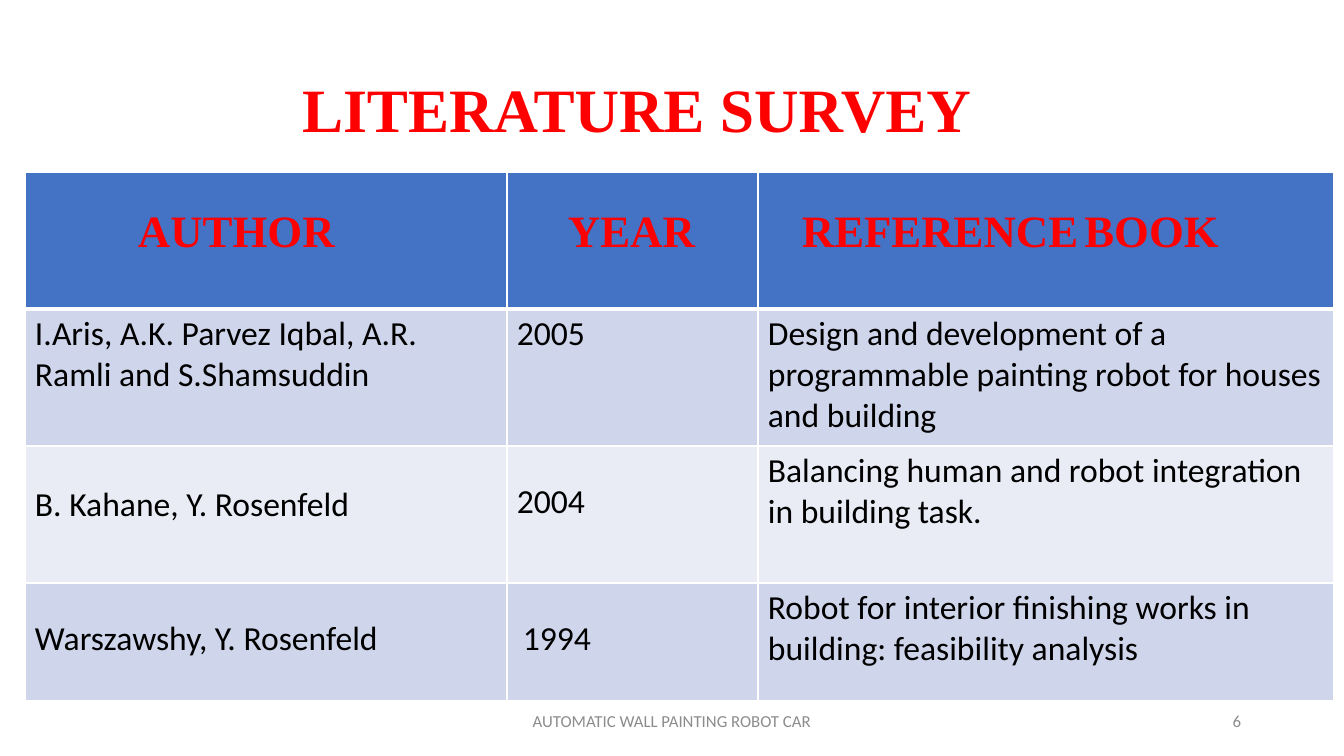
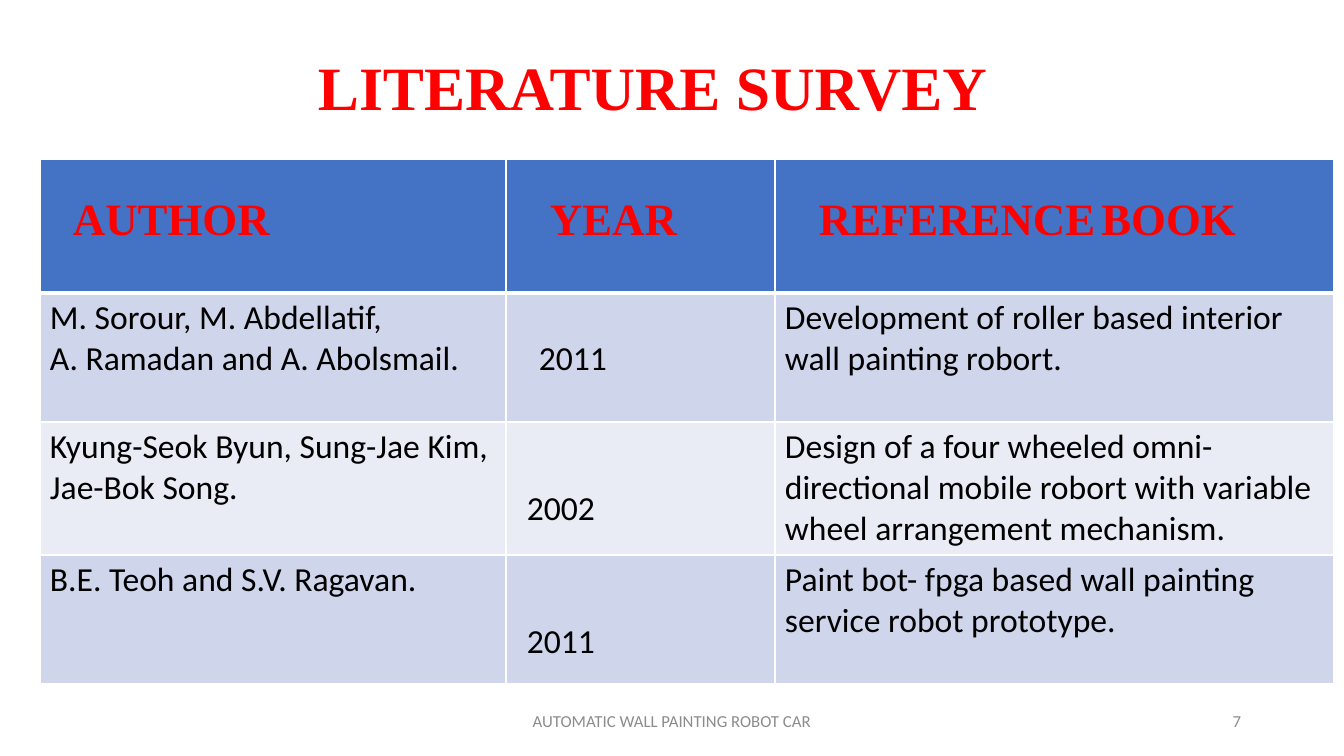
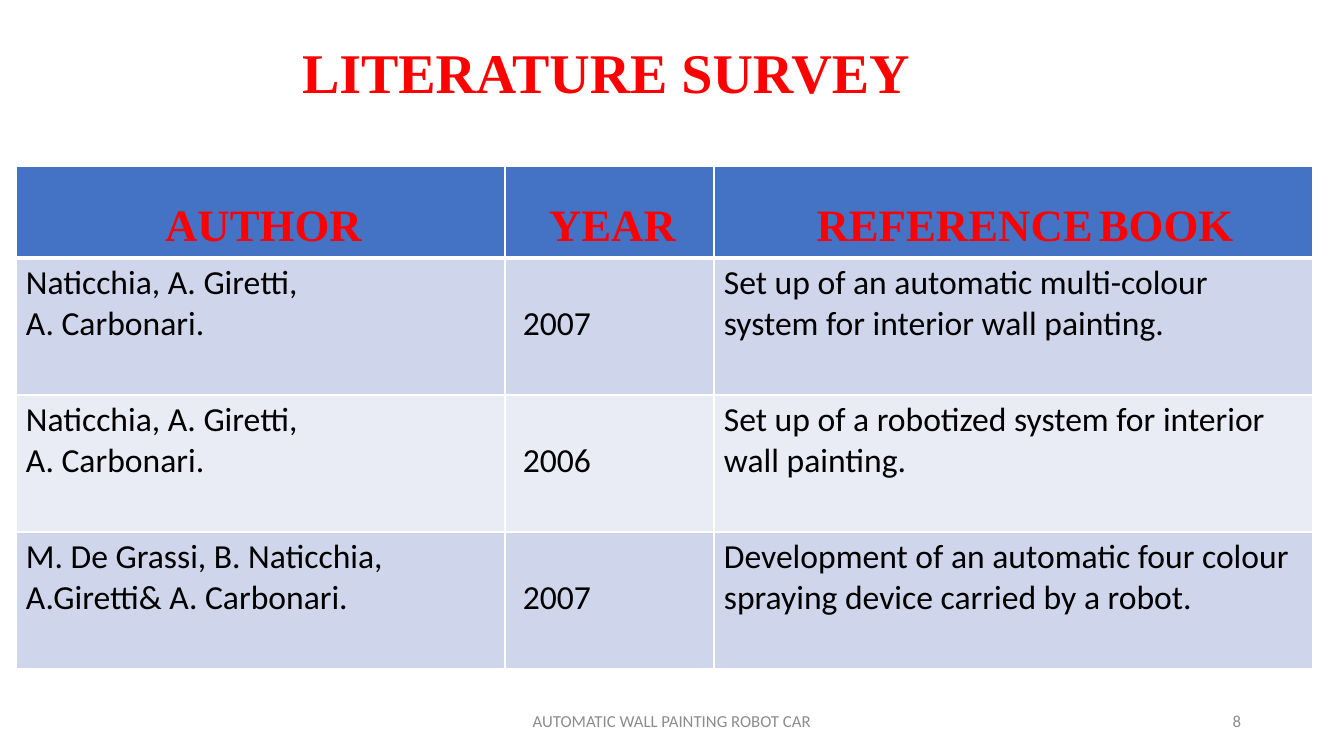
from dataclasses import dataclass

from lxml.etree import SubElement
from pptx import Presentation
from pptx.dml.color import RGBColor
from pptx.enum.text import MSO_ANCHOR, MSO_AUTO_SIZE, PP_ALIGN
from pptx.oxml.ns import qn
from pptx.util import Pt

EMU_PER_PX = 914400 / 100.8
RED = RGBColor(0xFF, 0x00, 0x00)
WHITE = RGBColor(0xFF, 0xFF, 0xFF)
BLACK = RGBColor(0x00, 0x00, 0x00)
GREY = RGBColor(0x8C, 0x8C, 0x8C)
HEADER_BLUE = RGBColor(0x44, 0x72, 0xC4)
BAND_FILLS = (RGBColor(0xCF, 0xD5, 0xEA), RGBColor(0xE9, 0xEB, 0xF5))
SERIF, SANS = "Times New Roman", "Calibri"
TITLE = "LITERATURE SURVEY"
HEADINGS = ("AUTHOR", "YEAR", "REFERENCE BOOK")
FOOTER = "AUTOMATIC WALL PAINTING ROBOT CAR"
FIRST_NUMBER = 6
INSET_X, INSET_Y = 10, 5
HEADER_DROP = 31


@dataclass
class Entry:
    """Cell text with its extra indent and drop in px."""

    text: str
    indent: int = 0
    drop: int = 0


@dataclass
class Survey:
    """Contents and measures of one survey slide."""

    title_box: tuple
    title_indent: int
    title_size: int
    table_corner: tuple
    columns: tuple
    rows: tuple
    heading_indents: tuple
    heading_align: PP_ALIGN
    entries: tuple


SURVEYS = (
    Survey(
        (92, 40, 1160, 146), 200, 44, (25, 172), (482, 251, 576),
        (137, 137, 137, 118), (103, 51, 34), PP_ALIGN.LEFT,
        (
            (Entry("I.Aris, A.K. Parvez Iqbal, A.R. Ramli and S.Shamsuddin"),
             Entry("2005"),
             Entry("Design and development of a programmable painting robot "
                   "for houses and building")),
            (Entry("B. Kahane, Y. Rosenfeld", drop=34),
             Entry("2004", drop=31),
             Entry("Balancing human and robot integration in building task.")),
            (Entry("Warszawshy, Y. Rosenfeld", drop=31),
             Entry("1994", 6, 31),
             Entry("Robot for interior finishing works in building: "
                   "feasibility analysis")),
        ),
    ),
    Survey(
        (92, 40, 1160, 101), 216, 44, (40, 159), (466, 269, 559),
        (134, 129, 133, 129), (23, 34, 34), PP_ALIGN.LEFT,
        (
            (Entry("M. Sorour, M. Abdellatif,\nA. Ramadan and A. Abolsmail."),
             Entry("2011", 23, 41),
             Entry("Development of roller based interior wall painting robort.")),
            (Entry("Kyung-Seok Byun, Sung-Jae Kim,\nJae-Bok Song."),
             Entry("2002", 11, 62),
             Entry("Design of a four wheeled omni-directional mobile robort "
                   "with variable wheel arrangement mechanism.")),
            (Entry("B.E. Teoh and S.V. Ragavan."),
             Entry("2011", 11, 62),
             Entry("Paint bot- fpga based wall painting service robot prototype.")),
        ),
    ),
    Survey(
        (92, 15, 1160, 121), 200, 40, (16, 166), (489, 209, 599),
        (92, 137, 137, 137), (6, 6, 23), PP_ALIGN.CENTER,
        (
            (Entry("Naticchia, A. Giretti,\nA. Carbonari."),
             Entry("2007", 8, 41),
             Entry("Set up of an automatic multi-colour system for interior "
                   "wall painting.")),
            (Entry("Naticchia, A. Giretti,\nA. Carbonari."),
             Entry("2006", 8, 41),
             Entry("Set up of a robotized system for interior wall painting.")),
            (Entry("M. De Grassi, B. Naticchia,\nA.Giretti& A. Carbonari."),
             Entry("2007", 8, 41),
             Entry("Development of an automatic four colour spraying device "
                   "carried by a robot.")),
        ),
    ),
)


def px(length):
    """Turn px into EMU."""
    return round(length * EMU_PER_PX)


def style(span, font, size, colour, bold=False):
    """Set the look of one run."""
    span.font.name = font
    span.font.size = Pt(size)
    span.font.color.rgb = colour
    span.font.bold = bold


def add_title(page, survey):
    """Place and format the title placeholder."""
    title = page.shapes.title
    title.left, title.top, title.width, title.height = map(px, survey.title_box)
    frame = title.text_frame
    frame.text = TITLE
    frame.auto_size = MSO_AUTO_SIZE.NONE
    frame.vertical_anchor = MSO_ANCHOR.MIDDLE
    frame.margin_left = px(INSET_X + survey.title_indent)
    para = frame.paragraphs[0]
    para.alignment = PP_ALIGN.LEFT
    para.line_spacing = 0.9
    style(para.runs[0], SERIF, survey.title_size, RED, True)


def set_borders(cell, top, bottom):
    """Draw white cell borders, with widths in points."""
    properties = cell._tc.get_or_add_tcPr()
    widths = {"a:lnL": 1, "a:lnR": 1, "a:lnT": top, "a:lnB": bottom}
    for place, (tag, width) in enumerate(widths.items()):
        line = SubElement(properties, qn(tag), w=str(Pt(width)))
        fill = SubElement(line, qn("a:solidFill"))
        SubElement(fill, qn("a:srgbClr"), val=str(WHITE))
        properties.insert(place, line)


def prepare_cell(cell, fill, indent, drop):
    """Set the fill and margins of a cell."""
    cell.fill.solid()
    cell.fill.fore_color.rgb = fill
    cell.margin_left = px(INSET_X + indent)
    cell.margin_right = px(INSET_X)
    cell.margin_top = px(INSET_Y + drop)
    cell.margin_bottom = 0
    cell.vertical_anchor = MSO_ANCHOR.TOP


def fill_heading(cell, text, indent, align):
    """Write a heading whose words are parted by a narrow space."""
    prepare_cell(cell, HEADER_BLUE, indent, HEADER_DROP)
    set_borders(cell, 1, 3)
    para = cell.text_frame.paragraphs[0]
    para.alignment = align
    for place, word in enumerate(text.split()):
        if place:
            gap = para.add_run()
            gap.text = " "
            style(gap, SANS, 18, WHITE, True)
        span = para.add_run()
        span.text = word
        style(span, SERIF, 32, RED, True)


def fill_entry(cell, entry, row):
    """Write one body cell."""
    prepare_cell(cell, BAND_FILLS[(row - 1) % 2], entry.indent, entry.drop)
    set_borders(cell, 3 if row == 1 else 1, 1)
    cell.text_frame.text = entry.text
    for para in cell.text_frame.paragraphs:
        style(para.runs[0], SANS, 24, BLACK)


def add_survey_table(page, survey):
    """Build the table of authors, years and books."""
    left, top = survey.table_corner
    box = (left, top, sum(survey.columns), sum(survey.rows))
    table = page.shapes.add_table(
        len(survey.rows), len(survey.columns), *map(px, box)).table
    for column, width in zip(table.columns, survey.columns):
        column.width = px(width)
    for row, height in zip(table.rows, survey.rows):
        row.height = px(height)
    for column, (text, indent) in enumerate(zip(HEADINGS, survey.heading_indents)):
        fill_heading(table.cell(0, column), text, indent, survey.heading_align)
    for row, entries in enumerate(survey.entries, 1):
        for column, entry in enumerate(entries):
            fill_entry(table.cell(row, column), entry, row)


def add_footer(page, number):
    """Add the running title and the page number."""
    parts = (
        (FOOTER, 445, 454, PP_ALIGN.CENTER),
        (str(number), 949, 302, PP_ALIGN.RIGHT),
    )
    for text, left, width, align in parts:
        frame = page.shapes.add_textbox(
            px(left), px(701), px(width), px(40)).text_frame
        frame.word_wrap = True
        frame.vertical_anchor = MSO_ANCHOR.MIDDLE
        frame.text = text
        para = frame.paragraphs[0]
        para.alignment = align
        style(para.runs[0], SANS, 12, GREY)


def add_survey_slide(deck, survey, number):
    """Build one whole survey slide."""
    page = deck.slides.add_slide(deck.slide_layouts[5])
    add_title(page, survey)
    add_survey_table(page, survey)
    add_footer(page, number)


def main():
    """Build and save the deck."""
    deck = Presentation()
    deck.slide_width, deck.slide_height = px(1344), px(756)
    for number, survey in enumerate(SURVEYS, FIRST_NUMBER):
        add_survey_slide(deck, survey, number)
    deck.save("out.pptx")


if __name__ == "__main__":
    main()
